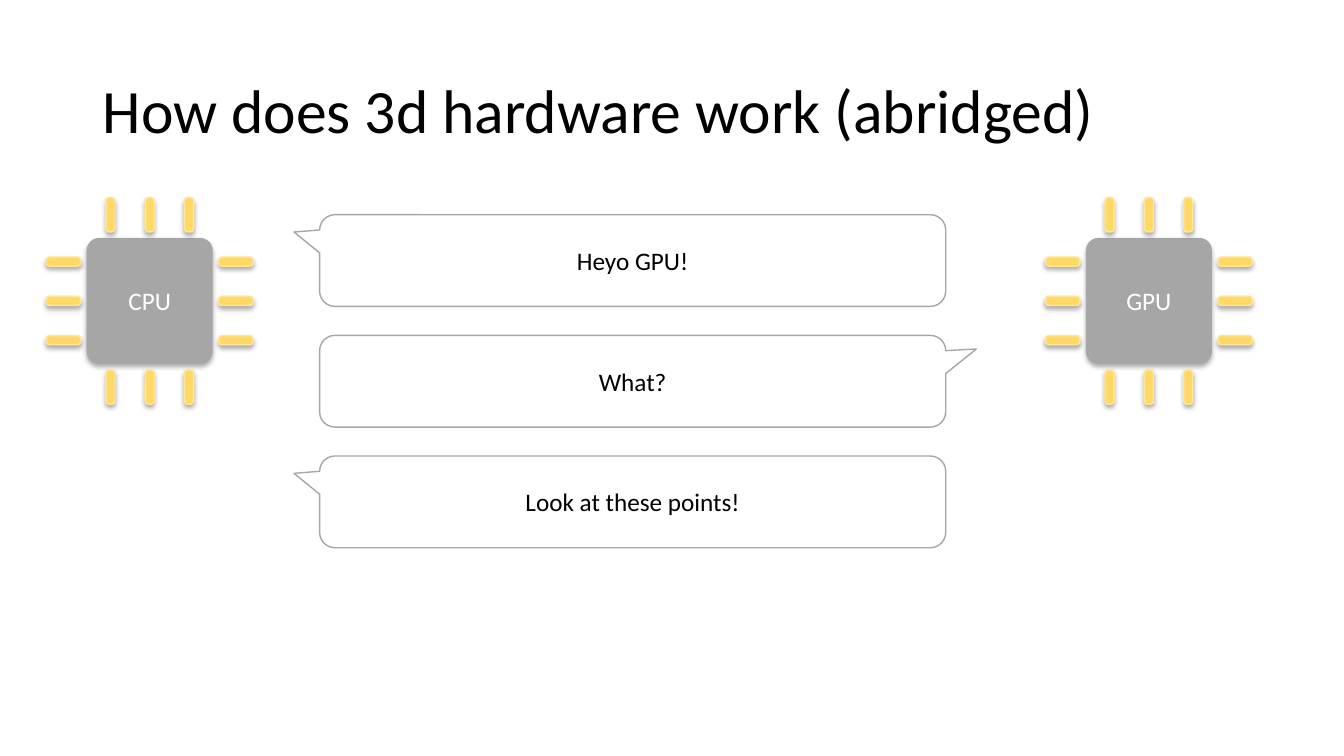
import pptx
import pptx.util
import pptx.dml.color
import pptx.enum.shapes
import pptx.enum.text
import pptx.oxml
import pptx.oxml.ns

Inches = pptx.util.Inches
RGBColor = pptx.dml.color.RGBColor
Shape = pptx.enum.shapes.MSO_SHAPE
Align = pptx.enum.text.PP_ALIGN
Anchor = pptx.enum.text.MSO_ANCHOR

BLACK = RGBColor(0x00, 0x00, 0x00)
WHITE = RGBColor(0xFF, 0xFF, 0xFF)
GREY = RGBColor(0xA6, 0xA6, 0xA6)
GOLD = RGBColor(0xFF, 0xD9, 0x66)
PALE_GOLD = RGBColor(0xFF, 0xE6, 0x99)

CHIP_SIZE = 1.25
PIN_LENGTH, PIN_WIDTH = 0.34, 0.09
PIN_REACH, PIN_STEP = 0.855, 0.39
CHIP_CENTER_Y = 2.985
CHIPS = {"CPU": 1.485, "GPU": 11.395}

BUBBLE_LEFT, BUBBLE_TOP, BUBBLE_STEP = 3.17, 2.13, 1.197
BUBBLE_WIDTH, BUBBLE_HEIGHT = 6.21, 0.91
CPU_TAIL = (-0.541, -0.311, 0.167)
GPU_TAIL = (0.549, -0.352, 0.167)
TALK = [
    ("Heyo GPU!", CPU_TAIL),
    ("What?", GPU_TAIL),
    ("Look at these points!", CPU_TAIL),
]


def write_text(shape, text, size, color, align):
    """Put one formatted paragraph in the middle of a shape."""
    frame = shape.text_frame
    frame.word_wrap = True
    frame.vertical_anchor = Anchor.MIDDLE
    para = frame.paragraphs[0]
    para.alignment = align
    span = para.add_run()
    span.text = text
    span.font.color.rgb = color
    font_values = {"name": "Calibri", "size": pptx.util.Pt(size)}
    for name, value in font_values.items():
        setattr(span.font, name, value)
    return para


def add_box(shapes, kind, bounds, adjustments, fill, line=None):
    """Add a flat preset shape with the given fill and outline."""
    box = shapes.add_shape(kind, *map(Inches, bounds))
    for index, value in enumerate(adjustments):
        box.adjustments[index] = value
    box.shadow.inherit = False
    box.fill.solid()
    box.fill.fore_color.rgb = fill
    if line is None:
        box.line.fill.background()
    else:
        box.line.color.rgb = line
        box.line.width = pptx.util.Pt(1)
    return box


def add_shadow(box):
    """Give a shape a soft shadow falling straight down."""
    shadow = pptx.oxml.parse_xml(
        f'<a:outerShdw {pptx.oxml.ns.nsdecls("a")} blurRad="44450" dist="27940" '
        'dir="5400000" algn="ctr" rotWithShape="0">'
        '<a:srgbClr val="000000"><a:alpha val="32000"/></a:srgbClr></a:outerShdw>'
    )
    box._element.spPr.find(pptx.oxml.ns.qn("a:effectLst")).append(shadow)


def add_pin(shapes, center_x, center_y, rotation):
    """Add one gold pin around its center."""
    bounds = (center_x - PIN_LENGTH / 2, center_y - PIN_WIDTH / 2, PIN_LENGTH, PIN_WIDTH)
    pin = add_box(shapes, Shape.ROUNDED_RECTANGLE, bounds, [0.358], GOLD, PALE_GOLD)
    pin.rotation = rotation
    add_shadow(pin)


def add_chip(page, label, center_x):
    """Add a grouped chip with three pins on each side."""
    shapes = page.shapes.add_group_shape().shapes
    half = CHIP_SIZE / 2
    bounds = (center_x - half, CHIP_CENTER_Y - half, CHIP_SIZE, CHIP_SIZE)
    body = add_box(shapes, Shape.ROUNDED_RECTANGLE, bounds, [0.1], GREY)
    add_shadow(body)
    write_text(body, label, 18, WHITE, Align.CENTER)
    for reach in (-PIN_REACH, PIN_REACH):
        for offset in (-PIN_STEP, 0, PIN_STEP):
            add_pin(shapes, center_x + reach, CHIP_CENTER_Y + offset, 0)
            add_pin(shapes, center_x + offset, CHIP_CENTER_Y + reach, 270)


def add_bubble(page, row, text, tail):
    """Add one speech bubble in its row."""
    bounds = (BUBBLE_LEFT, BUBBLE_TOP + row * BUBBLE_STEP, BUBBLE_WIDTH, BUBBLE_HEIGHT)
    bubble = add_box(page.shapes, Shape.ROUNDED_RECTANGULAR_CALLOUT, bounds, tail, WHITE, GREY)
    write_text(bubble, text, 18, BLACK, Align.CENTER)


def add_title(page, text):
    """Place and fill the title placeholder."""
    title = page.shapes.title
    place = {"left": 0.92, "top": 0.4, "width": 11.5, "height": 1.45}
    for name, value in place.items():
        setattr(title, name, Inches(value))
    para = write_text(title, text, 44, BLACK, Align.LEFT)
    para.line_spacing = 0.9


def main():
    """Build and save the slide."""
    deck = pptx.Presentation()
    deck.slide_width = Inches(13.33)
    deck.slide_height = Inches(7.5)
    page = deck.slides.add_slide(deck.slide_layouts.get_by_name("Title Only"))
    add_title(page, "How does 3d hardware work (abridged)")
    for label, center_x in CHIPS.items():
        add_chip(page, label, center_x)
    for row, (text, tail) in enumerate(TALK):
        add_bubble(page, row, text, tail)
    deck.save("out.pptx")


if __name__ == "__main__":
    main()
